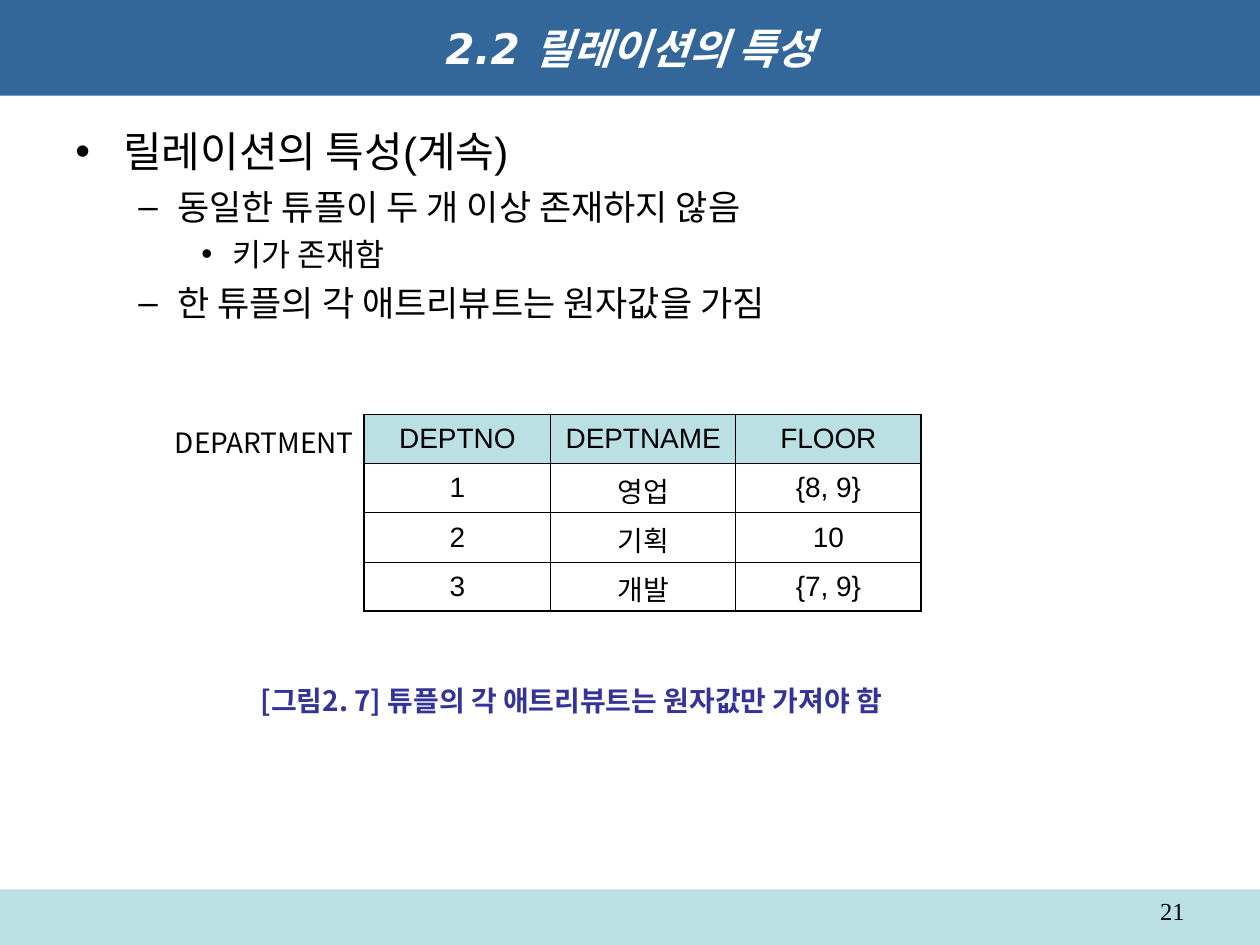
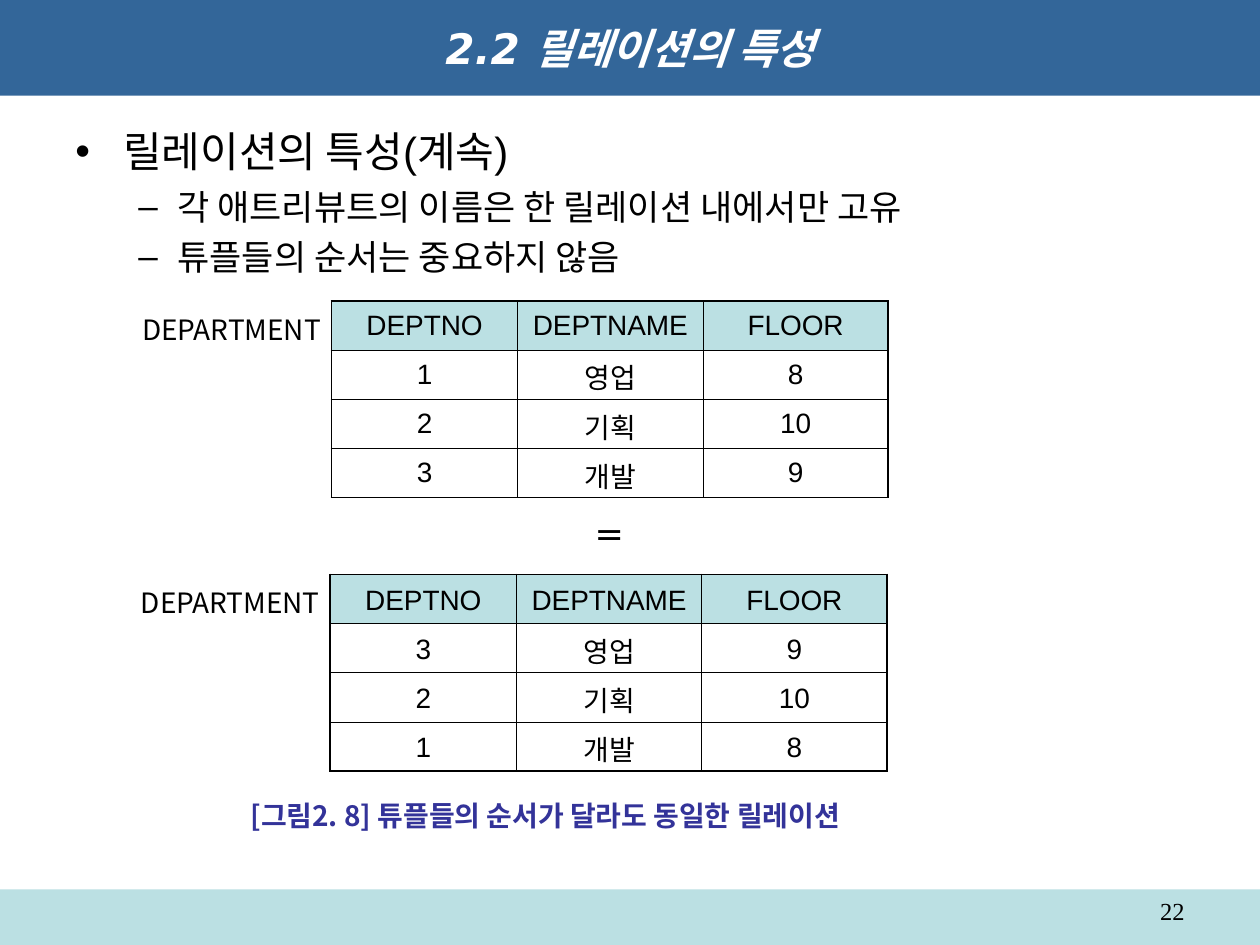
"""Build two slides on the properties of relations."""
from dataclasses import dataclass

from lxml import etree
from pptx import Presentation
from pptx.dml.color import RGBColor
from pptx.enum.shapes import MSO_SHAPE
from pptx.enum.text import MSO_ANCHOR, PP_ALIGN
from pptx.oxml.ns import qn
from pptx.util import Inches, Pt

RECT = MSO_SHAPE.RECTANGLE
MIDDLE = MSO_ANCHOR.MIDDLE
LEFT, CENTER, RIGHT, FULL = PP_ALIGN.LEFT, PP_ALIGN.CENTER, PP_ALIGN.RIGHT, PP_ALIGN.JUSTIFY


@dataclass(frozen=True)
class Style:
    face: str
    size: float
    color: str = "000000"
    bold: bool = False
    slant: bool = False


@dataclass(frozen=True)
class Theme:
    blue: str = "336699"
    mint: str = "BBE0E3"
    ink: str = "000000"
    hangul: str = "Noto Sans CJK KR"
    thick: float = 1.08
    thin: float = 0.45
    title: Style = Style("DejaVu Sans", 24, "FFFFFF", True, True)
    number: Style = Style("Times New Roman", 14)
    cell: Style = Style("Arial", 16)
    label: Style = Style("Noto Sans CJK JP", 16)
    sign: Style = Style("DejaVu Sans", 20)
    caption: Style = Style("Noto Sans CJK KR", 16, "333399", True)


@dataclass(frozen=True)
class Level:
    mark: str
    left: float
    hang: float
    gap: float
    style: Style


@dataclass(frozen=True)
class Grid:
    left: float
    top: float
    rows: tuple
    foot: float = 0.05


@dataclass(frozen=True)
class Note:
    text: str
    left: float
    top: float


@dataclass(frozen=True)
class Page:
    number: int
    points: tuple
    grids: tuple
    caption: Note
    signs: tuple = ()


THEME = Theme()
TITLE = "2.2 릴레이션의 특성"
HEAD = ("DEPTNO", "DEPTNAME", "FLOOR")
WIDTHS = (1.48, 1.47, 1.47)
ROW = 0.39
LEVELS = (
    Level("•", 0.38, 0.38, 6, Style("Arial", 24)),
    Level("–", 0.81, 0.31, 5, Style("Arial", 20)),
    Level("•", 1.25, 0.25, 4.5, Style("Arial", 18)),
)
PAGES = (
    Page(
        21,
        ((0, "릴레이션의 특성(계속)"),
         (1, "동일한 튜플이 두 개 이상 존재하지 않음"),
         (2, "키가 존재함"),
         (1, "한 튜플의 각 애트리뷰트는 원자값을 가짐")),
        (Grid(2.89, 3.29, (("1", "영업", "{8, 9}"), ("2", "기획", "10"), ("3", "개발", "{7, 9}"))),),
        Note("[그림2. 7] 튜플의 각 애트리뷰트는 원자값만 가져야 함", 1.97, 5.38),
    ),
    Page(
        22,
        ((0, "릴레이션의 특성(계속)"),
         (1, "각 애트리뷰트의 이름은 한 릴레이션 내에서만 고유"),
         (1, "튜플들의 순서는 중요하지 않음")),
        (Grid(2.63, 2.39, (("1", "영업", "8"), ("2", "기획", "10"), ("3", "개발", "9"))),
         Grid(2.62, 4.56, (("3", "영업", "9"), ("2", "기획", "10"), ("1", "개발", "8")), 0.02)),
        Note("[그림2. 8] 튜플들의 순서가 달라도 동일한 릴레이션", 1.89, 6.29),
        (Note("=", 4.56, 3.9),),
    ),
)


def write(para, text: str, style: Style, align=LEFT) -> None:
    """Fill a paragraph with styled text."""
    para.text = text
    para.alignment = align
    font = para.font
    font.name, font.size = style.face, Pt(style.size)
    font.bold, font.italic = style.bold, style.slant
    font.color.rgb = RGBColor.from_string(style.color)
    props = para._p.pPr.find(qn("a:defRPr"))
    etree.SubElement(props, qn("a:ea"), typeface=THEME.hangul)


def band(slide, top: float, height: float, color: str):
    """Draw a full-width band."""
    shape = slide.shapes.add_shape(RECT, 0, Inches(top), Inches(10), Inches(height))
    shape.shadow.inherit = False
    shape.fill.solid()
    shape.fill.fore_color.rgb = RGBColor.from_string(color)
    shape.line.fill.background()
    return shape


def box(slide, left: float, top: float, width: float, height: float, wrap: bool = True):
    """Add a text box and return its frame."""
    shape = slide.shapes.add_textbox(Inches(left), Inches(top), Inches(width), Inches(height))
    shape.text_frame.word_wrap = wrap
    return shape.text_frame


def bullet(para, level: Level) -> None:
    """Give a paragraph its indent and bullet."""
    props = para._p.get_or_add_pPr()
    props.set("marL", str(Inches(level.left)))
    props.set("indent", str(-Inches(level.hang)))
    tint = etree.SubElement(props, qn("a:buClr"))
    etree.SubElement(tint, qn("a:srgbClr"), val=THEME.ink)
    etree.SubElement(props, qn("a:buFont"), typeface=level.style.face)
    etree.SubElement(props, qn("a:buChar"), char=level.mark)


def outline(slide, points: tuple) -> None:
    """Draw the bulleted points."""
    frame = box(slide, 0.5, 0.95, 9, 5.95)
    for index, (depth, text) in enumerate(points):
        level = LEVELS[depth]
        para = frame.add_paragraph() if index else frame.paragraphs[0]
        bullet(para, level)
        if index:
            para.space_before = Pt(level.gap)
        write(para, text, level.style)


def border(cell, outer: dict) -> None:
    """Rule the four sides of a cell, thick on outer sides."""
    props = cell._tc.get_or_add_tcPr()
    for index, (side, edge) in enumerate(outer.items()):
        width = Pt(THEME.thick if edge else THEME.thin)
        line = etree.Element(qn(f"a:{side}"), w=str(width))
        fill = etree.SubElement(line, qn("a:solidFill"))
        etree.SubElement(fill, qn("a:srgbClr"), val=THEME.ink)
        props.insert(index, line)


def table(slide, grid: Grid) -> None:
    """Draw a department table and its label."""
    rows = (HEAD, *grid.rows)
    count, span = len(rows), len(HEAD)
    frame = slide.shapes.add_table(count, span, Inches(grid.left), Inches(grid.top),
                                   Inches(sum(WIDTHS)), Inches(ROW * count))
    sheet = frame.table
    sheet.first_row = sheet.horz_banding = False
    for column, width in zip(sheet.columns, WIDTHS):
        column.width = Inches(width)
    for r, row in enumerate(rows):
        sheet.rows[r].height = Inches(ROW)
        for c, text in enumerate(row):
            cell = sheet.cell(r, c)
            cell.vertical_anchor = MIDDLE
            cell.margin_bottom = Inches(grid.foot)
            if r:
                cell.fill.background()
            else:
                cell.fill.solid()
                cell.fill.fore_color.rgb = RGBColor.from_string(THEME.mint)
            border(cell, {"lnL": c == 0, "lnR": c == span - 1,
                          "lnT": r == 0, "lnB": r == count - 1})
            write(cell.text_frame.paragraphs[0], text, THEME.cell, CENTER)
    label = box(slide, grid.left - 1.6, grid.top + 0.04, 1.64, 0.37, False)
    write(label.paragraphs[0], "DEPARTMENT", THEME.label)


def sign(slide, note: Note) -> None:
    """Draw a sign between two tables."""
    frame = box(slide, note.left, note.top, 0.47, 0.65, False)
    frame.margin_left = frame.margin_right = Inches(0.16)
    frame.margin_top = frame.margin_bottom = Inches(0.16)
    write(frame.paragraphs[0], note.text, THEME.sign, CENTER)


def base(slide, number: int) -> None:
    """Draw the title band, footer band and page number."""
    band(slide, 7.06, 0.44, THEME.mint)
    frame = box(slide, 7.17, 7.06, 2.33, 0.29)
    write(frame.paragraphs[0], str(number), THEME.number, RIGHT)
    title = band(slide, 0, 0.76, THEME.blue).text_frame
    title.vertical_anchor = MIDDLE
    write(title.paragraphs[0], TITLE, THEME.title, CENTER)


def draw(slide, page: Page) -> None:
    """Draw one whole page."""
    base(slide, page.number)
    outline(slide, page.points)
    for grid in page.grids:
        table(slide, grid)
    for note in page.signs:
        sign(slide, note)
    frame = box(slide, page.caption.left, page.caption.top, 6.31, 0.37)
    write(frame.paragraphs[0], page.caption.text, THEME.caption, FULL)


def main() -> None:
    """Build and save the deck."""
    deck = Presentation()
    deck.slide_width, deck.slide_height = Inches(10), Inches(7.5)
    for page in PAGES:
        draw(deck.slides.add_slide(deck.slide_layouts[6]), page)
    deck.save("out.pptx")


if __name__ == "__main__":
    main()
